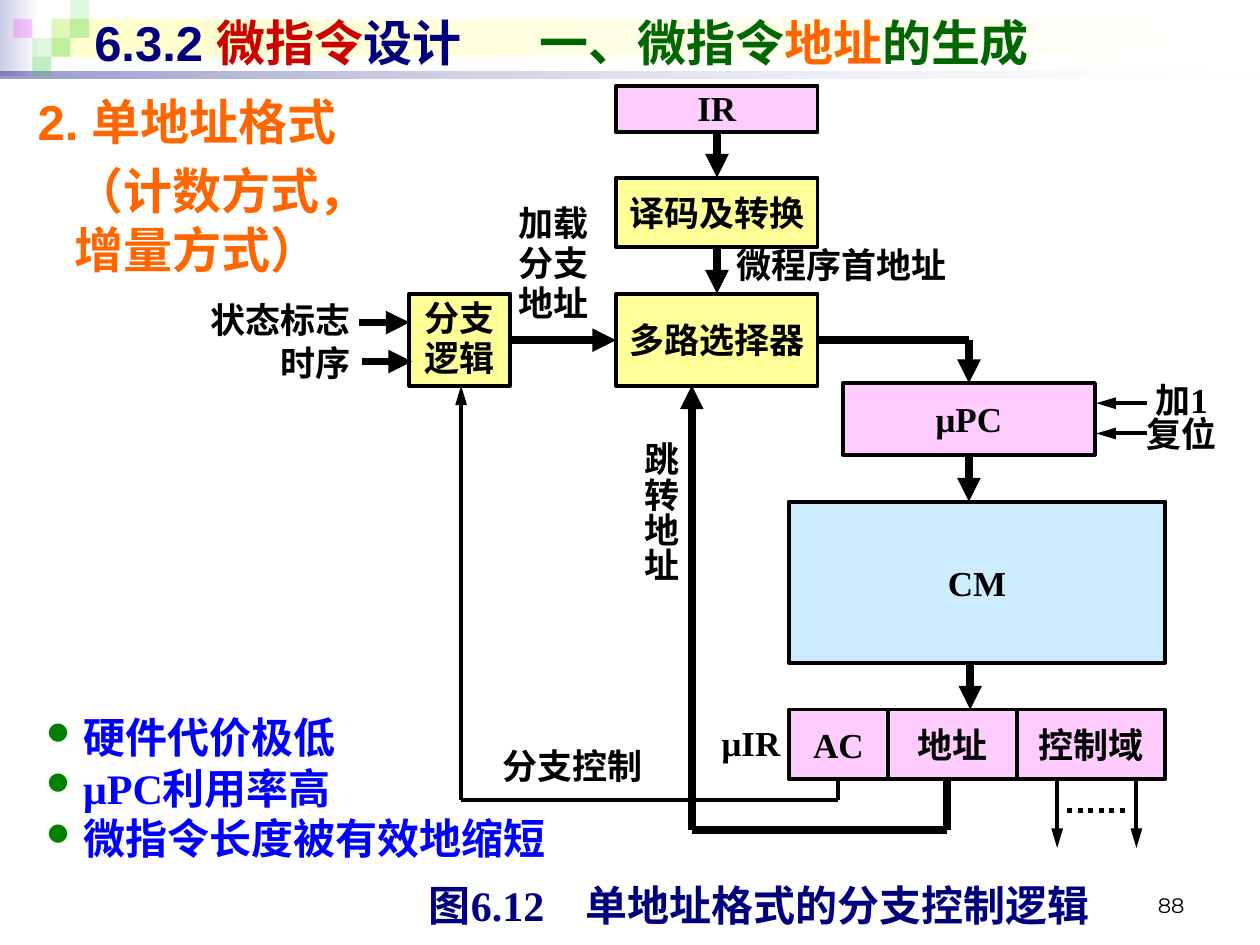
from lxml import etree
from pptx import Presentation
from pptx.dml.color import RGBColor
from pptx.enum.dml import MSO_LINE
from pptx.enum.shapes import MSO_CONNECTOR, MSO_SHAPE
from pptx.enum.text import MSO_ANCHOR, PP_ALIGN
from pptx.oxml.ns import qn
from pptx.util import Pt

RECT, STRAIGHT, DOT = MSO_SHAPE.RECTANGLE, MSO_CONNECTOR.STRAIGHT, MSO_LINE.ROUND_DOT
LEFT, MID, RIGHT = PP_ALIGN.LEFT, PP_ALIGN.CENTER, PP_ALIGN.RIGHT
TOP, CENTRE, BASE = MSO_ANCHOR.TOP, MSO_ANCHOR.MIDDLE, MSO_ANCHOR.BOTTOM
ROMAN = "Times New Roman"
HEX = {
    "white": "FFFFFF", "black": "000000", "navy": "00007D", "red": "CC0000",
    "green": "006600", "orange": "FF6600", "blue": "0000FF", "bullet": "008000",
    "pink": "FFCCFF", "yellow": "FFFF99", "sky": "CCECFF", "cream": "FFFFCC",
    "haze": "CCCCE6", "leaf": "33CC33", "rose": "FF00FF",
}
RGB = {name: RGBColor.from_string(code) for name, code in HEX.items()}

deck = Presentation()
deck.slide_width, deck.slide_height = Pt(720), Pt(540)
slide = deck.slides.add_slide(deck.slide_layouts[6])
shapes = slide.shapes


def put(at, text, size=20, color="black", align=MID, anchor=CENTRE, font=ROMAN,
        fill=None, edge=False, inset=0, tab=0, bold=True, pitch=None):
    place = [Pt(v) for v in at]
    if fill:
        box = shapes.add_shape(RECT, *place)
        box.shadow.inherit = False
        box.fill.solid()
        box.fill.fore_color.rgb = RGB[fill]
        if edge:
            box.line.color.rgb = RGB["black"]
            box.line.width = Pt(2.25)
        else:
            box.line.fill.background()
    else:
        box = shapes.add_textbox(*place)
    frame = box.text_frame
    frame.word_wrap = True
    frame.vertical_anchor = anchor
    frame.margin_left = frame.margin_right = Pt(inset)
    frame.margin_top = frame.margin_bottom = Pt(inset / 2)
    para = frame.paragraphs[0]
    para.text = text
    para.alignment = align
    if tab:
        stops = etree.SubElement(para._p.get_or_add_pPr(), qn("a:tabLst"))
        etree.SubElement(stops, qn("a:tab"), pos=str(Pt(tab)), algn="l")
    para.font.name, para.font.size, para.font.bold = font, Pt(size), bold
    para.font.color.rgb = RGB[color]
    para.line_spacing = pitch
    return frame


def link(x1, y1, x2, y2, width=4.5, head="med"):
    line = shapes.add_connector(STRAIGHT, Pt(x1), Pt(y1), Pt(x2), Pt(y2))
    line.line.color.rgb = RGB["black"]
    line.line.width = Pt(width)
    if head:
        etree.SubElement(line.line._get_or_add_ln(), qn("a:tailEnd"),
                         type="triangle", len=head)
    etree.SubElement(line._element.spPr, qn("a:effectLst"))
    return line


for x, y, w, h, start, alphas in [
    (0, 0, 22.5, 43.2, "haze", None),
    (29.5, 10.8, 687.5, 21.6, "cream", None),
    (0, 41, 720, 3.8, "navy", (40, 10)),
]:
    band = shapes.add_shape(RECT, Pt(x), Pt(y), Pt(w), Pt(h))
    band.shadow.inherit = False
    band.line.fill.background()
    band.fill.gradient()
    band.fill.gradient_angle = 0
    stops = band.fill.gradient_stops
    for stop, name, pos in zip(stops, (start, "white"), (0, 1)):
        stop.color.rgb = RGB[name]
        stop.position = pos
    if alphas:
        for tint, alpha in zip(band._element.spPr.iter(qn("a:srgbClr")), alphas):
            etree.SubElement(tint, qn("a:alpha"), val=str(alpha * 1000))

side = 10.8
for col, row, name, alpha in [
    (2, 1, "leaf", 15), (3, 0, "leaf", 15), (3, 1, "leaf", 30), (1, 2, "leaf", 15),
    (0, 1, "rose", 20), (2, 2, "leaf", 30), (1, 3, "leaf", 30),
]:
    tile = shapes.add_shape(RECT, Pt(7.7 + col * side), Pt(row * side), Pt(side), Pt(side))
    tile.shadow.inherit = False
    tile.line.fill.background()
    tile.fill.solid()
    tile.fill.fore_color.rgb = RGB[name]
    tint = next(tile._element.spPr.iter(qn("a:srgbClr")))
    etree.SubElement(tint, qn("a:alpha"), val=str(alpha * 1000))

title = put((46.8, 3.6, 664.6, 41), "", 28, "navy", LEFT, font="Arial", inset=7.2, tab=254.5)
for text, name in [
    ("6.3.2 ", "navy"), ("微指令", "red"), ("设计\t", "navy"),
    ("一、微指令", "green"), ("地址", "orange"), ("的生成", "green"),
]:
    run = title.paragraphs[0].add_run()
    run.text = text
    run.font.color.rgb = RGB[name]

body = put((14.4, 49, 692, 141.8), "2. 单地址格式", 28, "orange", LEFT, TOP, "Arial", inset=7.2)
head = body.paragraphs[0]._p.get_or_add_pPr()
head.set("marL", str(Pt(21)))
head.set("indent", str(Pt(-21)))
para = body.add_paragraph()
para.text = "（计数方式，\v增量方式）"
para.space_before = Pt(5.6)
para._p.get_or_add_pPr().set("marL", str(Pt(21)))
para.font.name, para.font.size, para.font.bold = "Arial", Pt(28), True
para.font.color.rgb = RGB["orange"]

put((516.2, 491.8, 167.8, 36), "88", 12, align=RIGHT, anchor=BASE,
    font="Montserrat", inset=7.2, bold=False)
put((245, 502.6, 387, 31), "图6.12\t单地址格式的分支控制逻辑", 24, "navy", LEFT,
    fill="white", tab=89.8, pitch=0.96)

for at, text, fill, pitch in [
    ((352, 49, 115.2, 26.6), "IR", "pink", 0.96),
    ((352, 101.5, 115.2, 39.6), "译码及转换", "yellow", None),
    ((352, 167.8, 115.2, 52.6), "多路选择器", "yellow", None),
    ((234, 167.8, 57.6, 52.6), "分支逻辑", "yellow", 0.96),
    ((481.7, 218.9, 144, 41), "μPC", "pink", None),
    ((450.7, 286.6, 215.3, 92.2), "CM", "sky", None),
    ((450.7, 405.4, 56.9, 39.6), "AC", "pink", None),
    ((507.6, 405.4, 73.4, 39.6), "地址", "pink", None),
    ((581, 405.4, 85, 39.6), "控制域", "pink", None),
]:
    put(at, text, fill=fill, edge=True, pitch=pitch)

for at, text, align in [
    ((277.3, 428.4, 100, 20.2), "分支控制", MID),
    ((405.4, 405.4, 47.5, 39.6), "μIR", MID),
    ((111.6, 169.2, 88.6, 28.8), "状态标志", RIGHT),
    ((111.6, 193.7, 88.6, 28.8), "时序", RIGHT),
    ((295.4, 116.6, 41.8, 69.1), "加载\v分支\v地址", MID),
    ((420.7, 139.7, 149, 25.2), "微程序首地址", LEFT),
    ((660.2, 216.7, 51.1, 25.2), "加1", LEFT),
    ((655.2, 236.2, 51.1, 25.2), "复位", LEFT),
]:
    put(at, text, align=align, pitch=0.96)
jump = put((366.3, 252.7, 23, 98.6), "跳转地址")
jump._txBody.bodyPr.set("vert", "eaVert")

points = put((19.4, 403.2, 323.3, 94.3), "", anchor=TOP, inset=7.2, align=LEFT)
for i, text in enumerate(["硬件代价极低", "μPC利用率高", "微指令长度被有效地缩短"]):
    para = points.add_paragraph() if i else points.paragraphs[0]
    para.text = text
    props = para._p.get_or_add_pPr()
    for old in list(props):
        props.remove(old)
    props.set("marL", str(Pt(21)))
    props.set("indent", str(Pt(-21)))
    tint = etree.SubElement(props, qn("a:buClr"))
    etree.SubElement(tint, qn("a:srgbClr"), val=HEX["bullet"])
    etree.SubElement(props, qn("a:buSzPct"), val="75000")
    etree.SubElement(props, qn("a:buFont"), typeface="Wingdings", charset="2")
    etree.SubElement(props, qn("a:buChar"), char="l")
    para.font.name, para.font.size, para.font.bold = ROMAN, Pt(24), True
    para.font.color.rgb = RGB["blue"]

for ends in [
    (409.7, 75.6, 409.7, 101.5), (409.7, 141.1, 409.7, 167.8),
    (553.7, 194.4, 553.7, 218.9), (553.7, 259.9, 553.7, 286.6),
    (554.4, 378.7, 554.4, 405.4), (292.3, 194.4, 352, 194.4),
    (205.2, 184.3, 234, 184.3), (206.6, 206.6, 235.4, 206.6),
    (395.3, 474.5, 395.3, 220.3),
]:
    link(*ends)
for ends in [
    (553.7, 194.4, 467.3, 194.4), (541.4, 445, 541.4, 474.5), (541.4, 474.5, 395.3, 474.5),
]:
    link(*ends, head=None)
for ends in [
    (604.1, 445, 604.1, 484.6), (649.4, 445, 649.4, 484.6), (263.5, 457.2, 263.5, 220.3),
    (655.2, 230.4, 626.4, 230.4), (655.2, 247.7, 626.4, 247.7),
]:
    link(*ends, width=2.25, head="lg")
for ends in [(478.8, 445, 478.8, 457.2), (478.8, 457.2, 263.5, 457.2)]:
    link(*ends, width=2.25, head=None)
link(609.8, 463, 645.1, 463, width=3, head=None).line.dash_style = DOT

deck.save("out.pptx")
